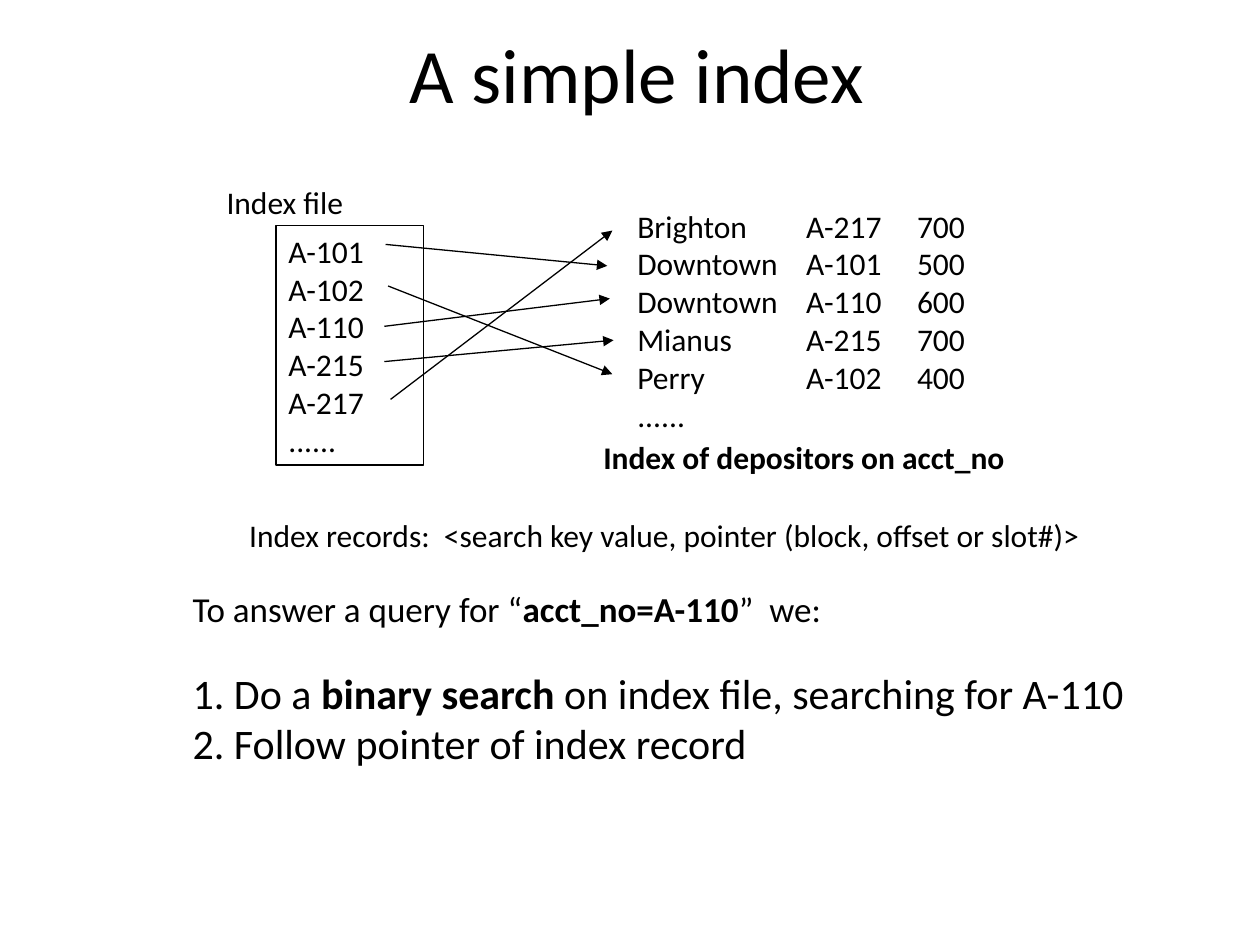
from pptx import Presentation
from pptx.dml.color import RGBColor
from pptx.enum.shapes import MSO_CONNECTOR as Connector, MSO_SHAPE as Shape
from pptx.enum.text import MSO_ANCHOR as Anchor, PP_ALIGN as Align
from pptx.oxml.ns import qn
from pptx.util import Inches, Pt
from lxml.etree import SubElement

COLORS = {"ink": "000000"}
FONT = "Calibri"
LINE_WIDTH = Pt(0.74)

INDEX_KEYS = ["A-101", "A-102", "A-110", "A-215", "A-217"]
DEPOSITORS = [
    ("Brighton", "A-217", "700"),
    ("Downtown", "A-101", "500"),
    ("Downtown", "A-110", "600"),
    ("Mianus", "A-215", "700"),
    ("Perry", "A-102", "400"),
]
MORE = "......"
COLUMN_STOPS = (1.34, 2.22)

# Arrow ends by account, as offsets from the diagram's corner
POINTER_STARTS = dict(zip(INDEX_KEYS, [
    (1.36, 0.54), (1.38, 0.87), (1.35, 1.19), (1.35, 1.47), (1.4, 1.77)]))
POINTER_ENDS = dict(zip([account for _, account, _ in DEPOSITORS], [
    (3.16, 0.43), (3.12, 0.71), (3.14, 0.97), (3.17, 1.3), (3.16, 1.57)]))


def ink():
    """Return the colour of text and lines."""
    return RGBColor.from_string(COLORS["ink"])


def write_lines(frame, lines, size=18, bold=False):
    """Fill a text frame with one paragraph for each line."""
    frame.text = "\n".join(lines)
    for paragraph in frame.paragraphs:
        paragraph.alignment = Align.LEFT
        for run in paragraph.runs:
            style_run(run, size, bold)


def style_run(run, size, bold=False):
    """Set the font of a run."""
    run.font.name = FONT
    run.font.size = Pt(size)
    run.font.bold = bold
    run.font.color.rgb = ink()


def add_label(slide, box, lines, size=18, bold=False, wrap=False):
    """Add a text box and return its frame."""
    frame = slide.shapes.add_textbox(*map(Inches, box)).text_frame
    frame.word_wrap = wrap
    write_lines(frame, lines, size, bold)
    return frame


def add_title(slide, box):
    """Add the centred heading."""
    heading = add_label(slide, box, ["A simple index"], size=44, wrap=True)
    heading.vertical_anchor = Anchor.MIDDLE
    heading.paragraphs[0].alignment = Align.CENTER


def add_index_file(slide, box):
    """Add the outlined list of index keys."""
    index_file = slide.shapes.add_shape(Shape.RECTANGLE, *map(Inches, box))
    index_file.shadow.inherit = False
    index_file.fill.background()
    index_file.line.color.rgb = ink()
    index_file.line.width = LINE_WIDTH
    index_file.text_frame.vertical_anchor = Anchor.TOP
    write_lines(index_file.text_frame, INDEX_KEYS + [MORE])


def add_depositors(slide, box):
    """Add the depositor records, set in columns by tab stops."""
    rows = ["\t".join(record) for record in DEPOSITORS] + [MORE]
    records = add_label(slide, box, rows)
    for paragraph in records.paragraphs:
        stops = SubElement(paragraph._p.get_or_add_pPr(), qn("a:tabLst"))
        for stop in COLUMN_STOPS:
            SubElement(stops, qn("a:tab"), pos=str(Inches(stop)), algn="l")


def add_pointer(slide, start, end):
    """Add an arrow from an index key to its record."""
    pointer = slide.shapes.add_connector(
        Connector.STRAIGHT, *map(Inches, start + end))
    pointer.line.color.rgb = ink()
    pointer.line.width = LINE_WIDTH
    SubElement(pointer.line._get_or_add_ln(), qn("a:tailEnd"), type="triangle")
    SubElement(pointer._element.spPr, qn("a:effectLst"))


def add_diagram(slide, left, top):
    """Add the index file, the records and the pointers between them."""
    add_depositors(slide, (left + 3.26, top + 0.19, 2.87, 1.9))
    add_index_file(slide, (left + 0.49, top + 0.39, 1.17, 1.9))
    for account in INDEX_KEYS:
        start, end = (
            (left + x, top + y)
            for x, y in (POINTER_STARTS[account], POINTER_ENDS[account]))
        add_pointer(slide, start, end)
    add_label(slide, (left, top, 1.13, 0.4), ["Index file"])
    add_label(slide, (left + 2.99, top + 2.03, 3.39, 0.4),
              ["Index of depositors on acct_no"], bold=True)


def add_query_steps(slide, box):
    """Add the query and the steps that answer it."""
    lines = [
        (20, 0, ["To answer a query for “", "acct_no=A-110", "”  we:"]),
        (24, 22, ["1. Do a ", "binary search",
                  " on index file, searching for A-110"]),
        (24, 0, ["2. Follow pointer of index record"]),
    ]
    frame = add_label(slide, box, [""] * len(lines))
    for paragraph, (size, gap, parts) in zip(frame.paragraphs, lines):
        paragraph.space_before = Pt(gap)
        for position, part in enumerate(parts):
            run = paragraph.add_run()
            run.text = part
            style_run(run, size, bold=position == 1)


def main():
    """Build the slide and save it."""
    deck = Presentation()
    deck.slide_width, deck.slide_height = Inches(10), Inches(7.5)
    slide = deck.slides.add_slide(deck.slide_layouts[6])
    add_title(slide, (0.64, 0.15, 8.83, 0.85))
    add_diagram(slide, 1.7, 1.4)
    add_label(slide, (1.88, 4.05, 6.83, 0.4), [
        "Index records:  <search key value, pointer (block, offset or slot#)>"])
    add_query_steps(slide, (1.43, 4.61, 7.61, 1.54))
    deck.save("out.pptx")


main()
